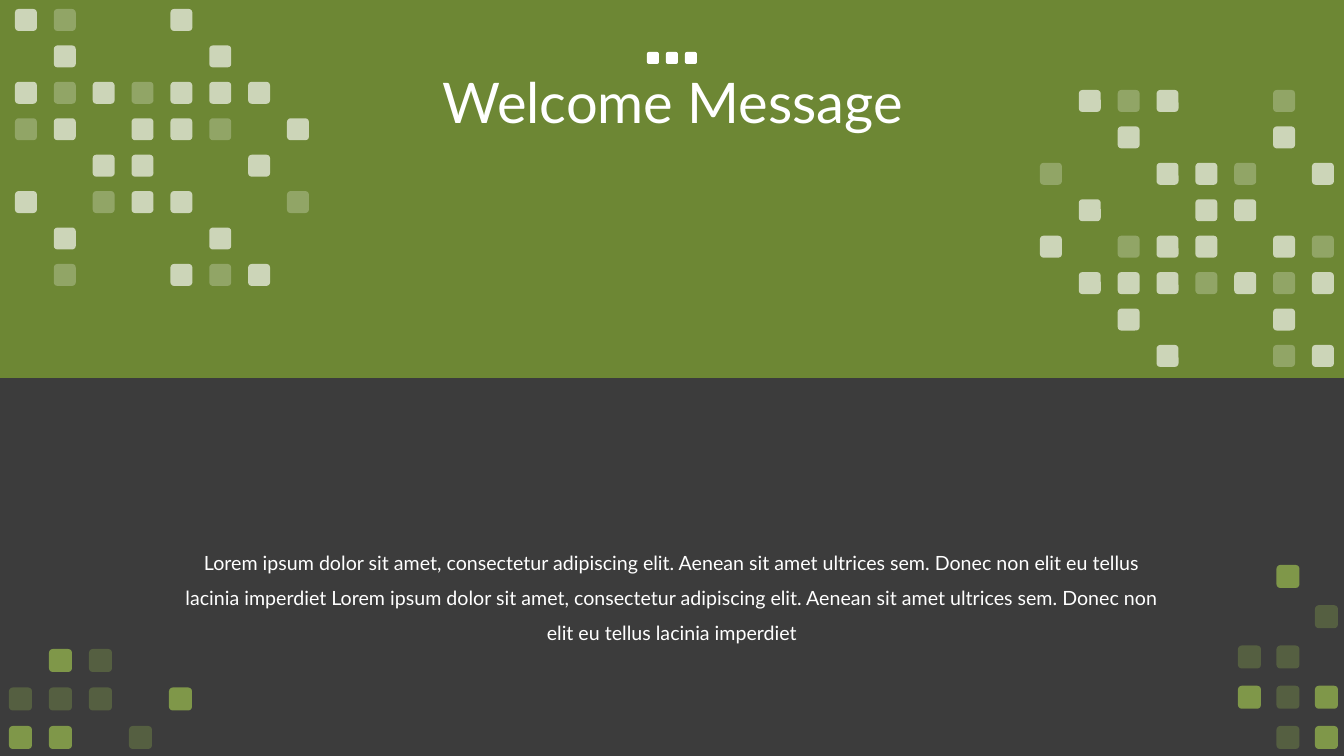
from lxml import etree
from pptx import Presentation
from pptx import util as u
from pptx.dml.color import RGBColor
from pptx.enum import shapes, text
from pptx.oxml import ns

WHITE = RGBColor(0xFF, 0xFF, 0xFF)
DARK = RGBColor(0x3C, 0x3C, 0x3C)
GREEN = RGBColor(0x7E, 0xA1, 0x32)
LIME = RGBColor(0xA3, 0xC9, 0x51)

EMU = 914400 / 100.8
WIDTH, HEIGHT = 1344, 756
ALPHA = {"#": 65, "+": 25}

LEFT = [
    "#+..#...",
    ".#...#..",
    "#+#+###.",
    "+#.##+.#",
    "..##..#.",
    "#.+##..+",
    ".#...#..",
    ".+..#+#.",
]
RIGHT = [
    ".#+#..+.",
    "..#...#.",
    "+..##+.#",
    ".#..##..",
    "#.+##.#+",
    ".###+#+#",
    "..#...#.",
    "...#..+#",
]
LOW_LEFT = [
    ".#+..",
    "+++.#",
    "##.+.",
]
LOW_RIGHT = [
    ".#.",
    "..+",
    "++.",
    "#+#",
    ".+#",
]
BODY = (
    "Lorem ipsum dolor sit amet, consectetur adipiscing elit. Aenean sit amet "
    "ultrices sem. Donec non elit eu tellus lacinia imperdiet Lorem ipsum dolor "
    "sit amet, consectetur adipiscing elit. Aenean sit amet ultrices sem. "
    "Donec non elit eu tellus lacinia imperdiet"
)


def px(value):
    return u.Emu(round(value * EMU))


def write(frame, words, size, color, font, space, anchor):
    frame.word_wrap = True
    frame.vertical_anchor = anchor
    para = frame.paragraphs[0]
    para.alignment = text.PP_ALIGN.CENTER
    para.line_spacing = space
    run = para.add_run()
    run.text = words
    run.font.size = u.Pt(size)
    run.font.name = font
    run.font.color.rgb = color


class Deck:
    font = "Lato"
    ink = WHITE

    def __init__(self):
        self.show = Presentation()
        self.show.slide_width = px(WIDTH)
        self.show.slide_height = px(HEIGHT)
        self.slide = self.show.slides.add_slide(self.show.slide_layouts[6])

    def ground(self, color):
        fill = self.slide.background.fill
        fill.solid()
        fill.fore_color.rgb = color

    def block(self, home, kind, box, color, alpha=100):
        shape = home.shapes.add_shape(kind, *map(px, box))
        shape.shadow.inherit = False
        shape.line.fill.background()
        shape.fill.solid()
        shape.fill.fore_color.rgb = color
        if alpha < 100:
            tint = shape.fill._xPr.find(".//" + ns.qn("a:srgbClr"))
            etree.SubElement(tint, ns.qn("a:alpha"), val=str(alpha * 1000))

    def band(self, box, color, alpha):
        self.block(self.slide, shapes.MSO_SHAPE.RECTANGLE, box, color, alpha)

    def tile(self, home, x, y, side, color, alpha=100):
        kind = shapes.MSO_SHAPE.ROUNDED_RECTANGLE
        self.block(home, kind, (x, y, side, side), color, alpha)

    def dots(self, x, y, step, side, count):
        group = self.slide.shapes.add_group_shape()
        for i in range(count):
            self.tile(group, x + i * step, y, side, self.ink)

    def tiles(self, rows, first, last, side, color):
        group = self.slide.shapes.add_group_shape()
        (x, y), (right, low) = first, last
        across = (right - x) / (len(rows[0]) - 1)
        down = (low - y) / (len(rows) - 1)
        for r, row in enumerate(rows):
            for c, mark in enumerate(row):
                if mark in ALPHA:
                    self.tile(group, x + c * across, y + r * down, side, color, ALPHA[mark])

    def label(self, words, box, size, space=1.0, anchor=text.MSO_ANCHOR.TOP):
        frame = self.slide.shapes.add_textbox(*map(px, box)).text_frame
        write(frame, words, size=size, color=self.ink, font=self.font, space=space, anchor=anchor)

    def save(self):
        self.show.save("out.pptx")


def main():
    deck = Deck()
    deck.ground(DARK)
    deck.band((0, 0, WIDTH, HEIGHT // 2), GREEN, 75)
    deck.label("Welcome Message", (93, 32, 1159, 146), 40, 0.9, text.MSO_ANCHOR.MIDDLE)
    deck.label(BODY, (175, 534, 994, 112), 14, 1.5)
    deck.dots(647, 52, 19, 12, 3)
    deck.tiles(LEFT, (15, 9), (287, 264), 22, WHITE)
    deck.tiles(RIGHT, (1040, 90), (1312, 345), 22, WHITE)
    deck.tiles(LOW_LEFT, (9, 649), (169, 726), 23, LIME)
    deck.tiles(LOW_RIGHT, (1238, 565), (1315, 726), 23, LIME)
    deck.save()


if __name__ == "__main__":
    main()
